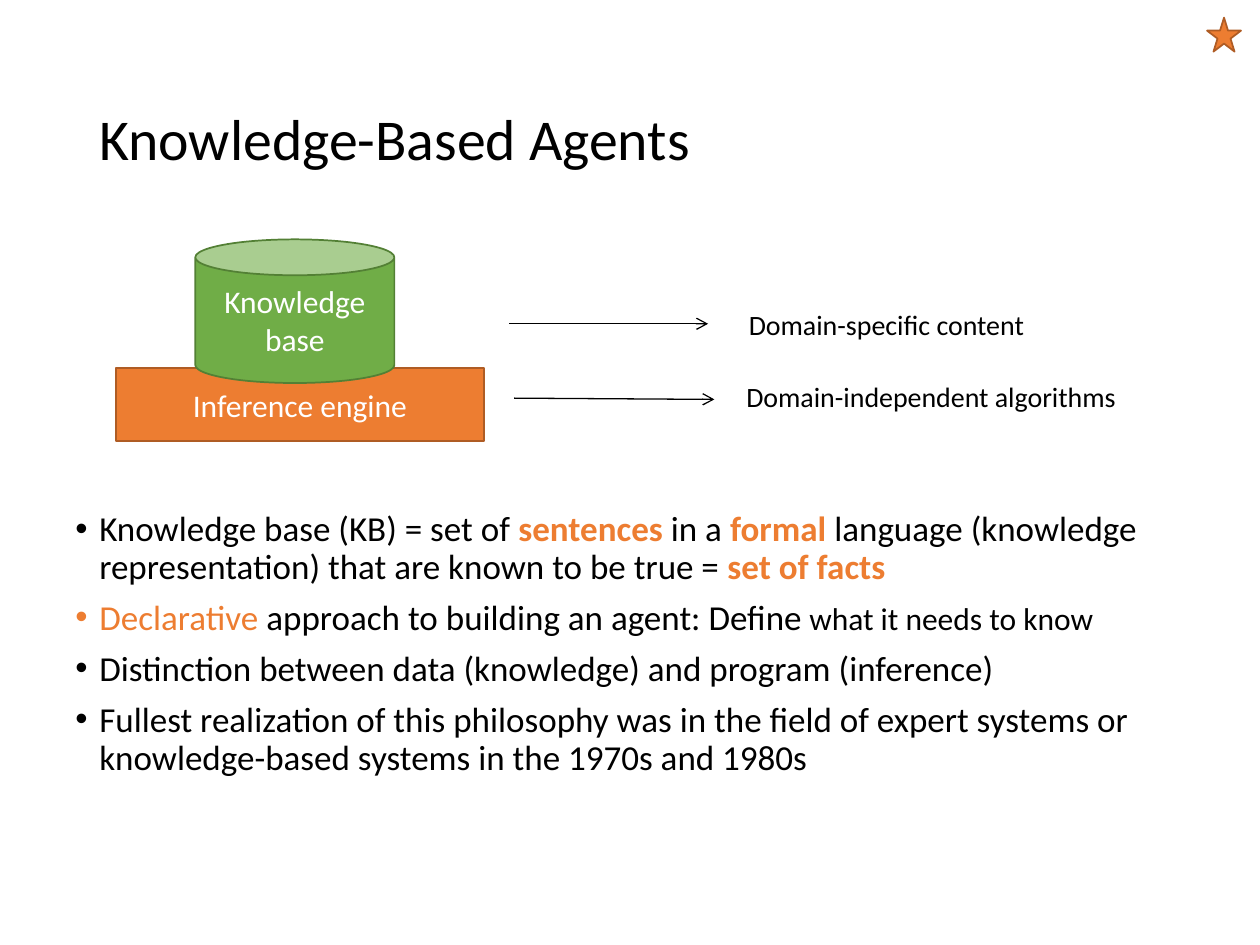
from dataclasses import dataclass

from lxml import etree
from pptx import Presentation
from pptx.dml.color import RGBColor
from pptx.enum.shapes import MSO_CONNECTOR as Link, MSO_SHAPE as Kind
from pptx.enum.text import MSO_ANCHOR as Anchor, MSO_AUTO_SIZE as Fit, PP_ALIGN as Align
from pptx.oxml.ns import qn
from pptx.util import Inches, Pt

BLACK = RGBColor(0x00, 0x00, 0x00)
WHITE = RGBColor(0xFF, 0xFF, 0xFF)
ORANGE = RGBColor(0xED, 0x7D, 0x31)
RUST = RGBColor(0xAF, 0x5C, 0x24)
GREEN = RGBColor(0x70, 0xAD, 0x47)
MOSS = RGBColor(0x53, 0x80, 0x35)
FONT = "Calibri"


@dataclass
class Span:
    text: str
    size: float = 20
    color: RGBColor = BLACK
    bold: bool = False


@dataclass
class Block:
    kind: Kind
    box: tuple[float, float, float, float]
    fill: RGBColor
    edge: RGBColor
    label: str = ""


@dataclass
class Note:
    text: str
    box: tuple[float, float, float, float]
    start: tuple[float, float]
    end: tuple[float, float]


def add_run(para, span: Span) -> None:
    run = para.add_run()
    run.text = span.text
    font = run.font
    font.name, font.size, font.bold = FONT, Pt(span.size), span.bold
    font.color.rgb = span.color


def add_box(slide, box: tuple[float, ...], wrap: bool = True):
    frame = slide.shapes.add_textbox(*map(Inches, box)).text_frame
    frame.word_wrap = wrap
    return frame


def add_bullet(para, spans: list[Span]) -> None:
    para.line_spacing, para.space_before = 0.9, Pt(7.5)
    props = para._p.get_or_add_pPr()
    props.set("marL", str(Inches(0.19)))
    props.set("indent", str(Inches(-0.19)))
    etree.SubElement(props, qn("a:buFont")).set("typeface", "Arial")
    etree.SubElement(props, qn("a:buChar")).set("char", "•")
    for span in spans:
        add_run(para, span)


def add_block(slide, block: Block) -> None:
    shape = slide.shapes.add_shape(block.kind, *map(Inches, block.box))
    shape.shadow.inherit = False
    shape.fill.solid()
    shape.fill.fore_color.rgb = block.fill
    shape.line.color.rgb = block.edge
    shape.line.width = Pt(1)
    if block.label:
        frame = shape.text_frame
        frame.word_wrap, frame.vertical_anchor = True, Anchor.MIDDLE
        para = frame.paragraphs[0]
        para.alignment = Align.CENTER
        add_run(para, Span(block.label, 18, WHITE))


def add_note(slide, note: Note) -> None:
    ends = map(Inches, note.start + note.end)
    arrow = slide.shapes.add_connector(Link.STRAIGHT, *ends)
    arrow.line.color.rgb = BLACK
    arrow.line.width = Pt(0.75)
    etree.SubElement(arrow.line._get_or_add_ln(), qn("a:tailEnd")).set("type", "arrow")
    etree.SubElement(arrow._element.spPr, qn("a:effectLst"))
    frame = add_box(slide, note.box, wrap=False)
    frame.auto_size = Fit.SHAPE_TO_FIT_TEXT
    para = frame.paragraphs[0]
    para.alignment = Align.CENTER
    add_run(para, Span(note.text, 16))


BULLETS = [
    [
        Span("Knowledge base (KB) = set of "),
        Span("sentences", color=ORANGE, bold=True),
        Span(" in a "),
        Span("formal", color=ORANGE, bold=True),
        Span(" language (knowledge representation) that are known to be true = "),
        Span("set of facts", color=ORANGE, bold=True),
    ],
    [
        Span("Declarative", color=ORANGE),
        Span(" approach to building an agent: Define"),
        Span(" what it needs to know", 18),
    ],
    [Span("Distinction between data (knowledge) and program (inference)")],
    [Span("Fullest realization of this philosophy was in the field of expert "
          "systems or knowledge-based systems in the 1970s and 1980s")],
]
# The can overlaps the engine, so it comes after it
BLOCKS = [
    Block(Kind.RECTANGLE, (0.92, 2.92, 2.92, 0.58), ORANGE, RUST, "Inference engine"),
    Block(Kind.CAN, (1.55, 1.9, 1.58, 1.14), GREEN, MOSS, "Knowledge base"),
    Block(Kind.STAR_5_POINT, (9.58, 0.14, 0.27, 0.27), ORANGE, RUST),
]
NOTES = [
    Note("Domain-independent algorithms", (5.7, 2.96, 3.38, 0.37), (4.08, 3.16), (5.67, 3.17)),
    Note("Domain-specific content", (5.74, 2.39, 2.59, 0.37), (4.04, 2.57), (5.62, 2.57)),
]


def main() -> None:
    deck = Presentation()
    deck.slide_width, deck.slide_height = Inches(10), Inches(7.5)
    slide = deck.slides.add_slide(deck.slide_layouts[6])

    # Title
    frame = add_box(slide, (0.69, 0.4, 8.62, 1.45))
    frame.vertical_anchor = Anchor.MIDDLE
    frame.paragraphs[0].line_spacing = 0.9
    add_run(frame.paragraphs[0], Span("Knowledge-Based Agents", 33))

    # Bullets
    frame = add_box(slide, (0.5, 4.01, 9, 2.83))
    for i, spans in enumerate(BULLETS):
        add_bullet(frame.add_paragraph() if i else frame.paragraphs[0], spans)

    # Diagram
    for block in BLOCKS:
        add_block(slide, block)
    for note in NOTES:
        add_note(slide, note)

    deck.save("out.pptx")


if __name__ == "__main__":
    main()
